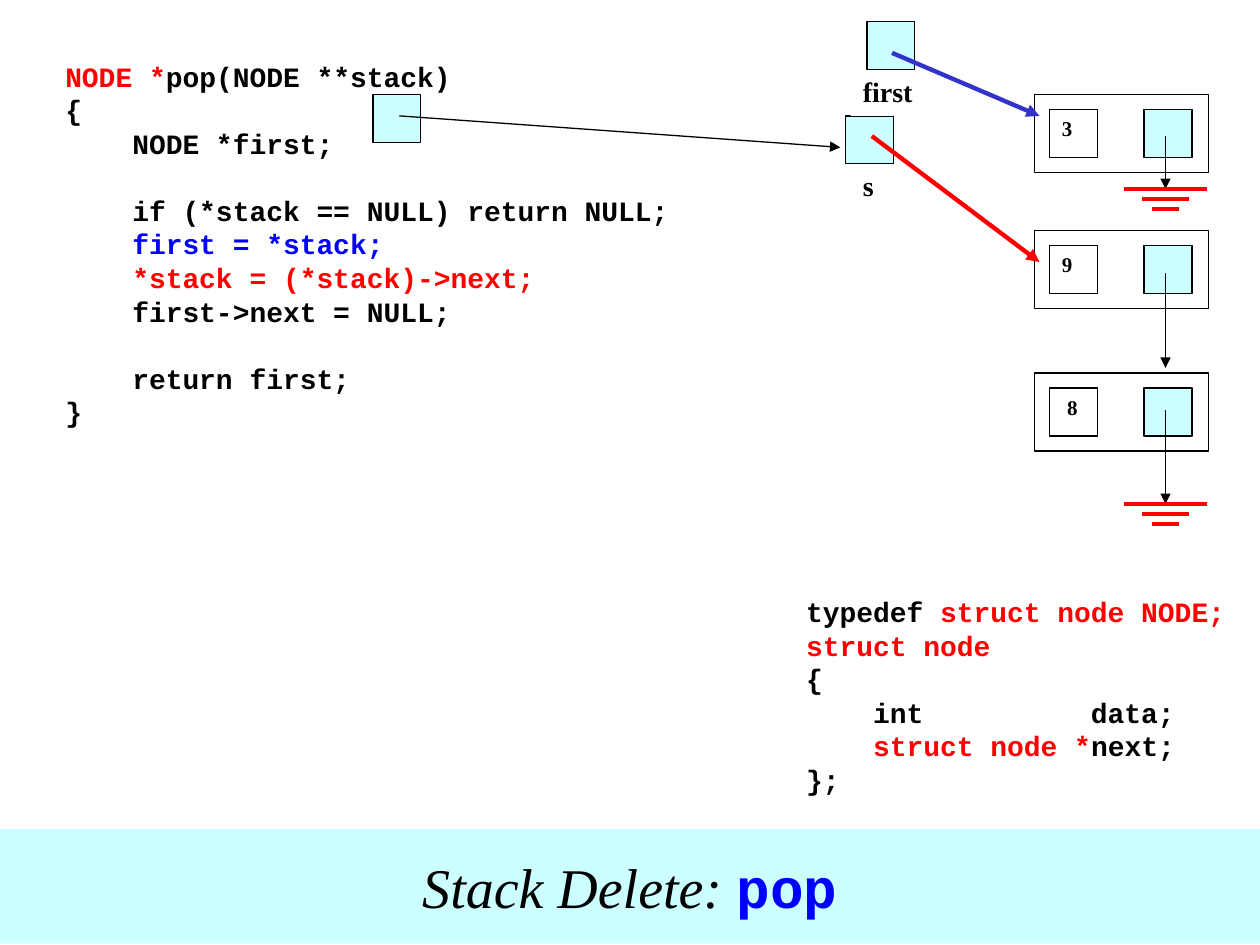
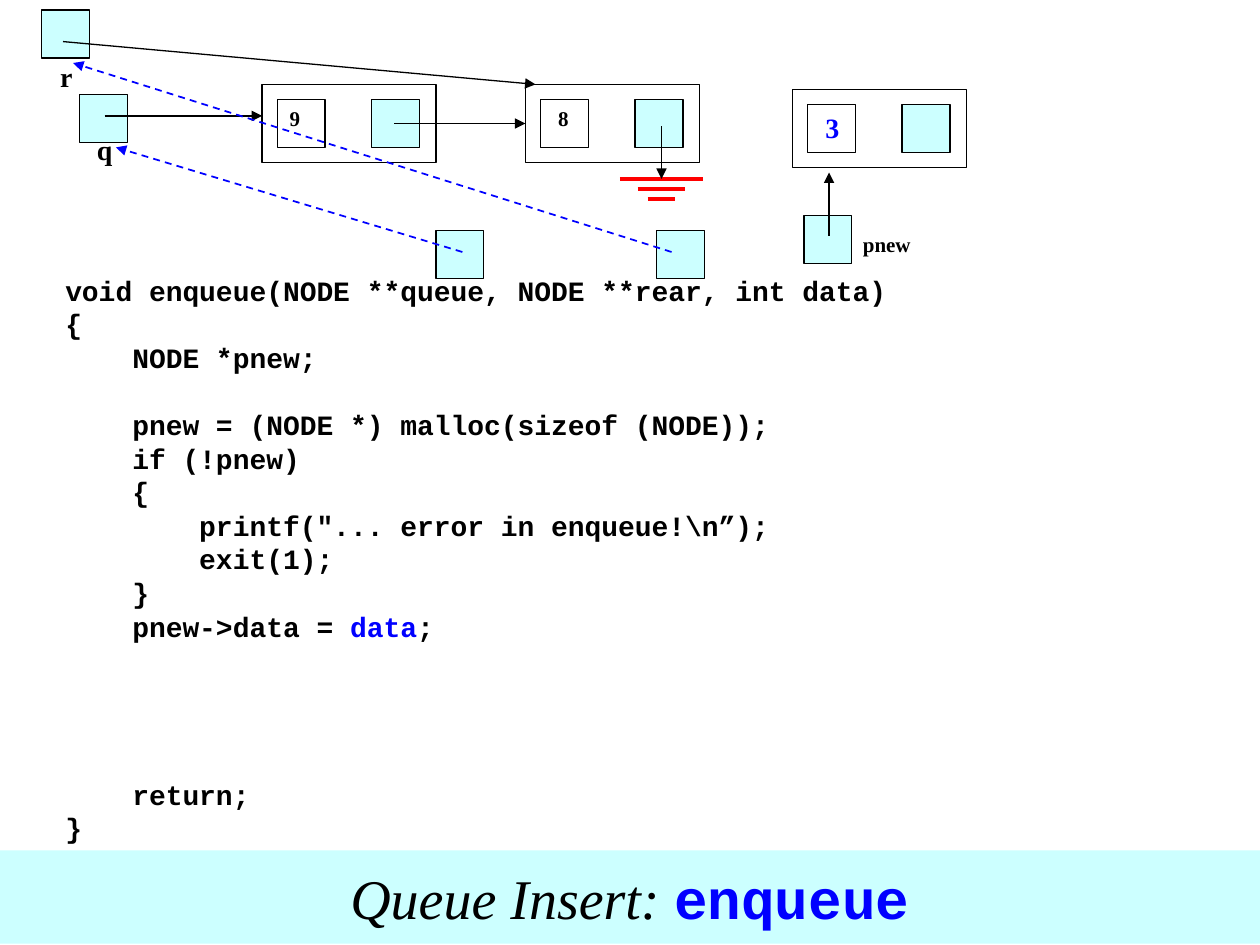
from dataclasses import dataclass

from lxml import etree
from pptx import Presentation
from pptx.dml.color import RGBColor
from pptx.enum.dml import MSO_LINE
from pptx.enum.shapes import MSO_CONNECTOR, MSO_SHAPE
from pptx.enum.text import MSO_ANCHOR, PP_ALIGN
from pptx.oxml.ns import qn
from pptx.util import Inches, Pt

RECTANGLE = MSO_SHAPE.RECTANGLE
STRAIGHT = MSO_CONNECTOR.STRAIGHT
DASH = MSO_LINE.DASH
TOP = MSO_ANCHOR.TOP
MIDDLE = MSO_ANCHOR.MIDDLE
CENTER = PP_ALIGN.CENTER
LEFT = PP_ALIGN.LEFT
LEFT_SIDE = 1


@dataclass(frozen=True)
class Theme:
    black: str = "000000"
    white: str = "FFFFFF"
    pale: str = "CCFFFF"
    red: str = "FF0000"
    blue: str = "0000FF"
    indigo: str = "3333CC"
    serif: str = "Times New Roman"
    mono: str = "Courier New"
    title: int = 32
    code: int = 16
    value: int = 12
    line_height: float = 1.2
    thin: float = 0.75
    dashed: float = 1
    ground: float = 2
    thick: float = 2.5
    cell: float = 0.38
    node_width: float = 1.38
    node_height: float = 0.62


T = Theme()

POP_CODE = [
    [("NODE *", T.red), ("pop(NODE **stack)", T.black)],
    "{",
    "    NODE *first;",
    "",
    "    if (*stack == NULL) return NULL;",
    [("    first = *stack;", T.blue)],
    [("    *stack = (*stack)->next;", T.red)],
    "    first->next = NULL;",
    "",
    "    return first;",
    "}",
]

STRUCT_CODE = [
    [("typedef ", T.black), ("struct node NODE;", T.red)],
    [("struct node", T.red)],
    "{",
    "    int          data;",
    [("    struct node *", T.red), ("next;", T.black)],
    "};",
]

ENQUEUE_CODE = [
    "void enqueue(NODE **queue, NODE **rear, int data)",
    "{",
    "    NODE *pnew;",
    "",
    "    pnew = (NODE *) malloc(sizeof (NODE));",
    "    if (!pnew)",
    "    {",
    "        printf(\"... error in enqueue!\\n”);",
    "        exit(1);",
    "    }",
    [("    pnew->data = ", T.black), ("data", T.blue), (";", T.black)],
    "", "", "", "",
    "    return;",
    "}",
]


def rgb(color):
    return RGBColor.from_string(color)


def style(run, font, size, color, bold=True, italic=False):
    run.font.name = font
    run.font.size = Pt(size)
    run.font.color.rgb = rgb(color)
    run.font.bold = bold
    run.font.italic = italic


def add_box(slide, left, top, width, height, fill, border=None):
    box = slide.shapes.add_shape(
        RECTANGLE, Inches(left), Inches(top), Inches(width), Inches(height))
    box.shadow.inherit = False
    box.fill.solid()
    box.fill.fore_color.rgb = rgb(fill)
    if border:
        box.line.color.rgb = rgb(border)
        box.line.width = Pt(T.thin)
    else:
        box.line.fill.background()
    return box


def write(box, text, size, color=T.black, indent=0.1):
    frame = box.text_frame
    frame.text = text
    frame.word_wrap = True
    frame.vertical_anchor = TOP
    frame.margin_left = Inches(indent)
    paragraph = frame.paragraphs[0]
    paragraph.alignment = LEFT
    paragraph.line_spacing = Pt(size * T.line_height)
    style(paragraph.runs[0], T.serif, size, color)


def add_label(slide, text, left, top, width, size=T.code):
    write(add_box(slide, left, top, width, T.cell, T.white), text, size)


def add_cell(slide, left, top, fill=T.pale):
    return add_box(slide, left, top, T.cell, T.cell, fill, T.black)


def add_node(slide, left, top, value, size=T.value, color=T.black, indent=0.1):
    frame = add_box(slide, left, top, T.node_width, T.node_height, T.white, T.black)
    add_cell(slide, left + 0.87, top + 0.12)
    data = add_cell(slide, left + 0.12, top + 0.12, T.white)
    write(data, value, size, color, indent)
    return frame


def add_line(slide, start, end, color=T.black, width=T.thin, dash=None, arrow=True):
    line = slide.shapes.add_connector(
        STRAIGHT, *(Inches(value) for value in (*start, *end)))
    line.line.color.rgb = rgb(color)
    line.line.width = Pt(width)
    if dash:
        line.line.dash_style = dash
    properties = line._element.spPr
    if arrow:
        etree.SubElement(properties.find(qn("a:ln")), qn("a:tailEnd"), type="triangle")
    etree.SubElement(properties, qn("a:effectLst"))
    return line


def add_ground(slide, center, top):
    for step, half in enumerate((0.33, 0.19, 0.11)):
        y = top + step * 0.08
        add_line(slide, (center - half, y), (center + half, y),
                 T.red, T.ground, arrow=False)


def add_code(slide, lines, left, top, width, height):
    frame = slide.shapes.add_textbox(
        Inches(left), Inches(top), Inches(width), Inches(height)).text_frame
    frame.word_wrap = True
    line_height = T.code * T.line_height
    paragraph = frame.paragraphs[0]
    gap = 0
    for number, line in enumerate(lines):
        if not line:
            gap += line_height
            continue
        if number:
            paragraph = frame.add_paragraph()
            paragraph.space_before = Pt(gap)
        paragraph.line_spacing = Pt(line_height)
        gap = 0
        for text, color in [(line, T.black)] if isinstance(line, str) else line:
            run = paragraph.add_run()
            run.text = text
            style(run, T.mono, T.code, color)


def add_title_band(slide, top, topic, function):
    band = add_box(slide, 0, top, 10, 7.49 - top, T.pale)
    frame = band.text_frame
    frame.word_wrap = False
    frame.vertical_anchor = MIDDLE
    paragraph = frame.paragraphs[0]
    paragraph.text = topic
    paragraph.alignment = CENTER
    style(paragraph.runs[0], T.serif, T.title, T.black, bold=False, italic=True)
    name = paragraph.add_run()
    name.text = function
    style(name, T.mono, T.title, T.blue)


def build_pop(slide):
    add_label(slide, "s", 6.75, 1.29, 0.33)
    add_code(slide, POP_CODE, 0.42, 0.42, 6.33, 3.3)
    add_code(slide, STRUCT_CODE, 6.3, 4.67, 3.7, 1.7)
    add_cell(slide, 6.71, 0.92)
    add_node(slide, 8.21, 0.75, "3")
    add_node(slide, 8.21, 1.83, "9")
    add_node(slide, 8.21, 2.96, "8", indent=0.14)
    for start, end in ((1.08, 1.5), (2.17, 2.92), (3.25, 4)):
        add_line(slide, (9.25, start), (9.25, end))
    add_label(slide, "first", 6.75, 0.54, 0.75)
    add_cell(slide, 6.88, 0.17)
    add_line(slide, (7.08, 0.42), (8.25, 0.92), T.indigo, T.thick)
    add_cell(slide, 2.96, 0.75)
    add_line(slide, (3.17, 0.92), (6.67, 1.17))
    add_line(slide, (6.92, 1.08), (8.25, 2.08), T.red, T.thick)
    for top in (1.5, 4):
        add_ground(slide, 9.25, top)
    add_title_band(slide, 6.58, "Stack Delete: ", "pop")


def build_enqueue(slide):
    add_code(slide, ENQUEUE_CODE, 0.42, 2.12, 7.33, 4.9)
    add_node(slide, 6.29, 0.71, "3", T.code, T.blue, indent=0.14)
    add_label(slide, "pnew", 6.75, 1.79, 0.75, T.value)
    add_cell(slide, 6.38, 1.71)
    add_line(slide, (6.58, 1.87), (6.58, 1.37))
    add_label(slide, "r", 0.38, 0.42, 0.33)
    add_label(slide, "q", 0.67, 1, 0.25)
    add_cell(slide, 0.63, 0.75)
    add_line(slide, (0.83, 0.92), (2.08, 0.92))
    add_node(slide, 2.08, 0.67, "9")
    last_node = add_node(slide, 4.17, 0.67, "8", indent=0.14)
    next_link = add_line(slide, (3.13, 0.98), (4.17, 0.98))
    next_link.end_connect(last_node, LEFT_SIDE)
    add_ground(slide, 5.25, 1.42)
    add_line(slide, (5.25, 1), (5.25, 1.42))
    add_cell(slide, 3.46, 1.83)
    add_line(slide, (3.67, 2), (0.92, 1.17), T.blue, T.dashed, DASH)
    add_cell(slide, 5.21, 1.83)
    add_cell(slide, 0.33, 0.08)
    add_line(slide, (0.5, 0.33), (4.25, 0.67))
    add_line(slide, (5.33, 2), (0.58, 0.5), T.blue, T.dashed, DASH)
    add_title_band(slide, 6.75, "Queue Insert: ", "enqueue")


def main():
    deck = Presentation()
    deck.slide_width = Inches(10)
    deck.slide_height = Inches(7.5)
    blank = deck.slide_layouts[6]
    for build in (build_pop, build_enqueue):
        build(deck.slides.add_slide(blank))
    deck.save("out.pptx")


if __name__ == "__main__":
    main()
